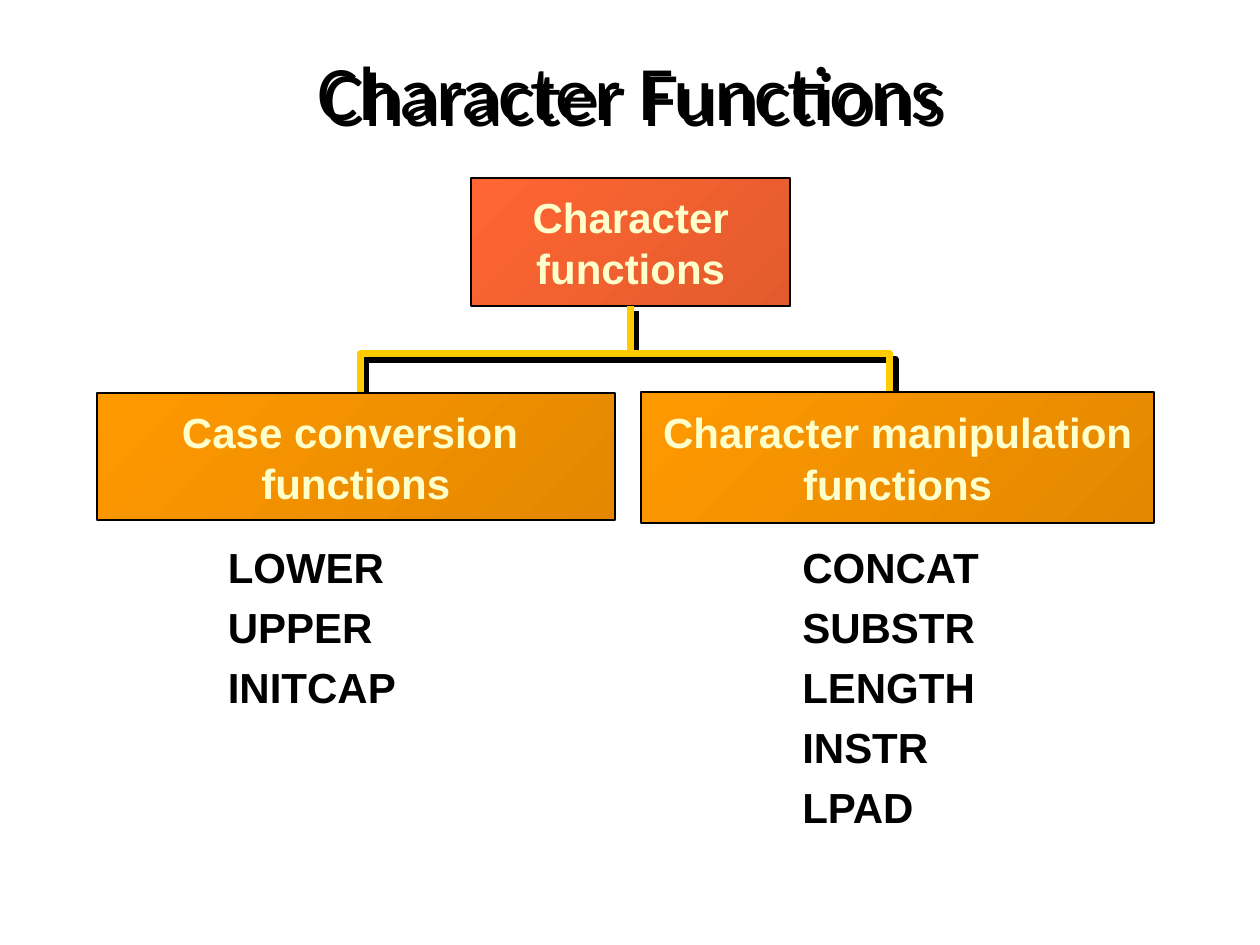
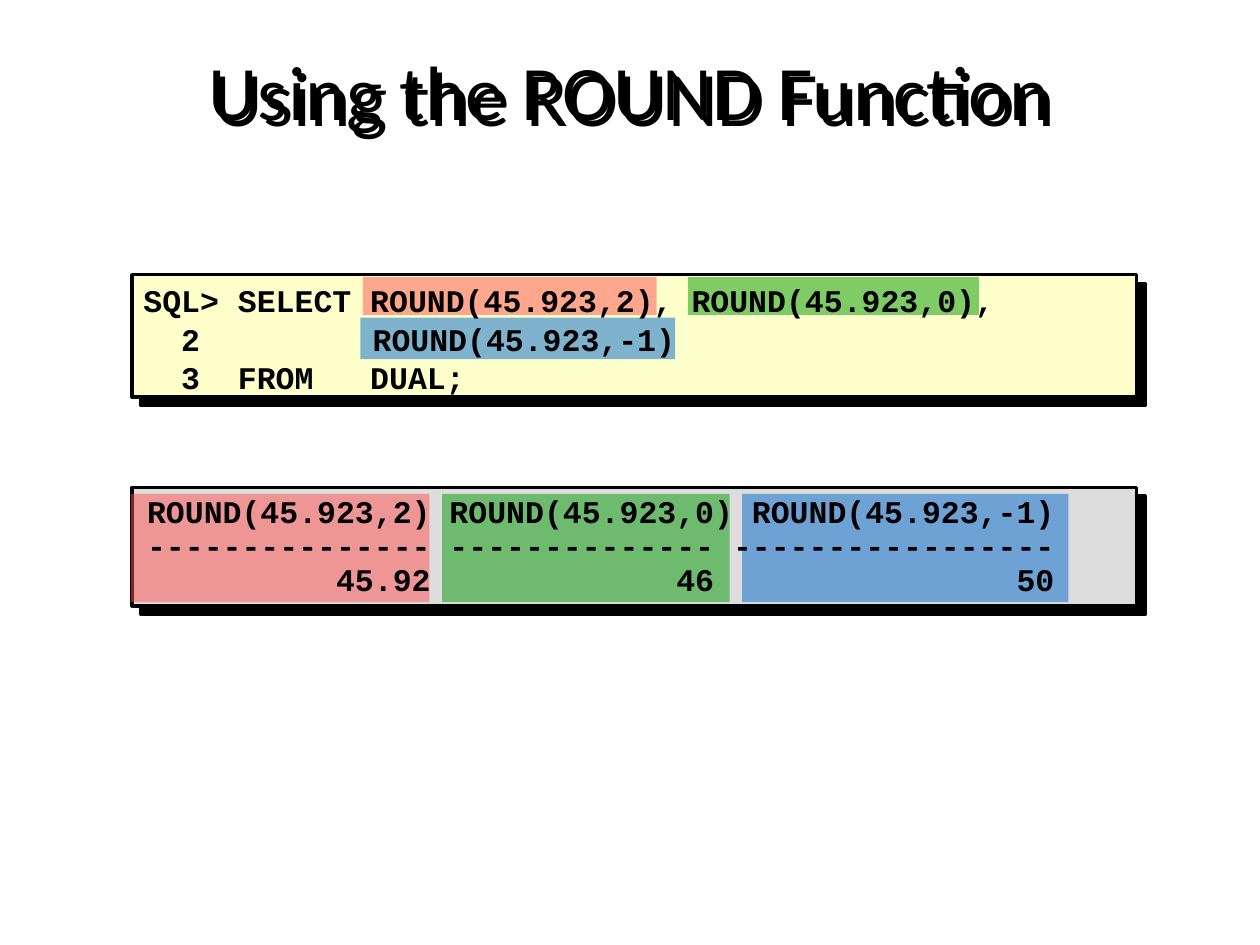
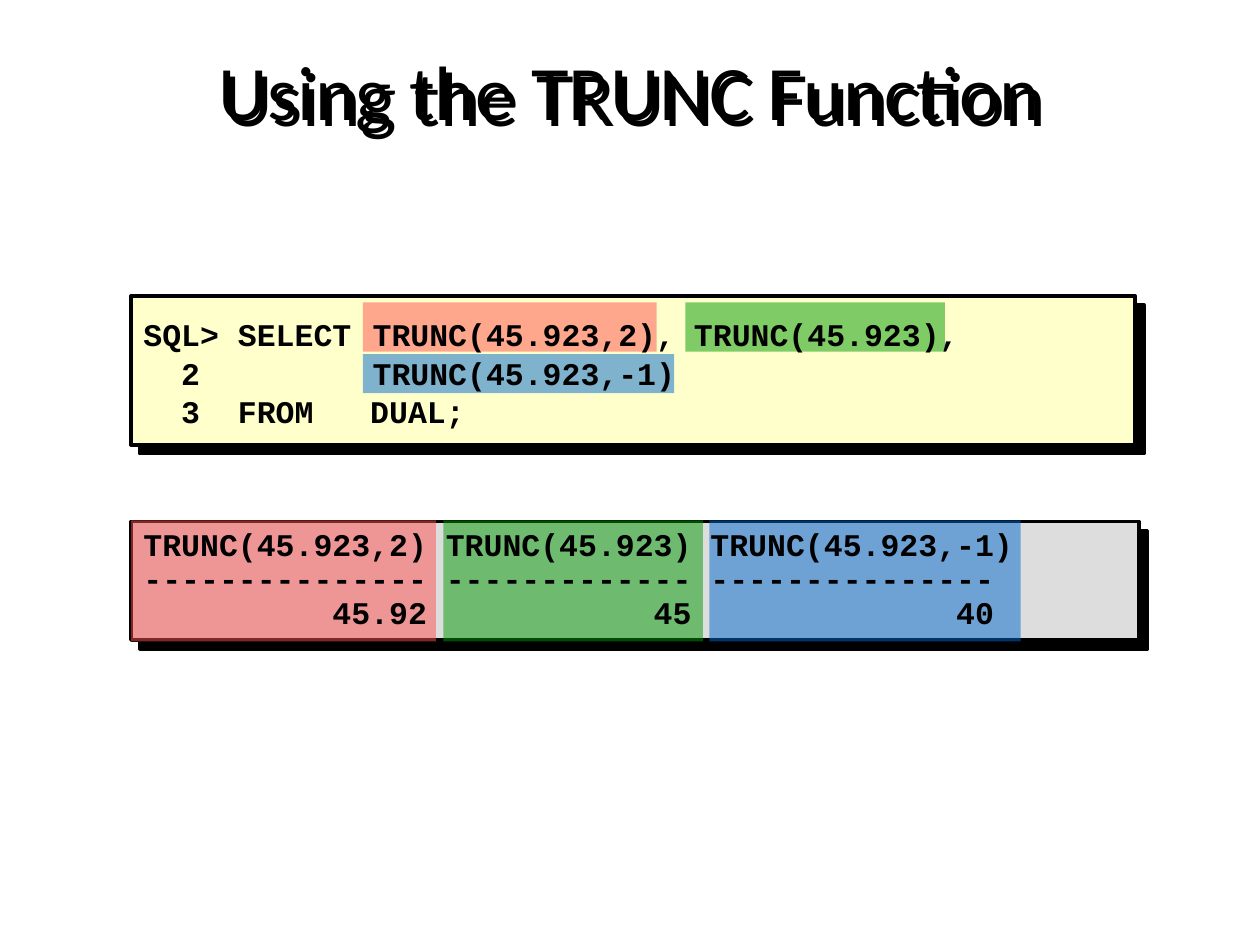
from collections import namedtuple

from lxml.etree import SubElement
from pptx import Presentation
from pptx.dml.color import RGBColor
from pptx.enum.shapes import MSO_CONNECTOR, MSO_SHAPE
from pptx.enum.text import MSO_ANCHOR, MSO_AUTO_SIZE, PP_ALIGN
from pptx.oxml.ns import qn
from pptx.util import Pt

BLACK = RGBColor(0x00, 0x00, 0x00)
CREAM = RGBColor(0xFF, 0xFF, 0xCC)
SILVER = RGBColor(0xDD, 0xDD, 0xDD)
YELLOW = RGBColor(0xFF, 0xCC, 0x00)
ORANGE = RGBColor(0xFF, 0x99, 0x00)
DARK_ORANGE = RGBColor(0xE3, 0x88, 0x00)
CORAL = RGBColor(0xFF, 0x66, 0x33)
DARK_CORAL = RGBColor(0xE3, 0x5B, 0x2D)
RED = RGBColor(0xFF, 0x50, 0x50)
GREEN = RGBColor(0x00, 0x99, 0x00)
BLUE = RGBColor(0x00, 0x66, 0xCC)

Box = namedtuple("Box", "left top width height")
Style = namedtuple("Style", "font size bold color line_pitch", defaults=(None,))

TITLE_STYLE = Style("Calibri", 44, False, BLACK)
NODE_STYLE = Style("Arial", 24, True, CREAM, 29.3)
LIST_STYLE = Style("Arial", 24, True, BLACK, 26)
QUERY_STYLE = Style("Courier New", 18, True, BLACK, 22)
RESULT_STYLE = Style("Courier New", 18, True, BLACK, 19.4)

TITLE_BOX = Box(36, 21.6, 648, 90)
QUERY_TABS = (94.3, 131)
LINE_SHADOW = 4.2
PANEL_SHADOW = 7.1


def to_points(box):
    return [Pt(value) for value in box]


def inside(box, left, top, width, height):
    return Box(box.left + left, box.top + top, width, height)


def add_shadow(shape, distance):
    properties = shape.element.spPr
    effects = properties.find(qn("a:effectLst"))
    if effects is None:
        effects = SubElement(properties, qn("a:effectLst"))
    shadow = SubElement(effects, qn("a:outerShdw"), dist=str(Pt(distance)),
                        dir="2700000", algn="ctr", rotWithShape="0")
    SubElement(shadow, qn("a:srgbClr"), val=str(BLACK))


def write_lines(frame, lines, style, alignment=PP_ALIGN.LEFT, gap=0, tabs=()):
    for index, line in enumerate(lines):
        paragraph = frame.paragraphs[0] if index == 0 else frame.add_paragraph()
        if tabs:
            tab_list = SubElement(paragraph._p.get_or_add_pPr(), qn("a:tabLst"))
            for position in tabs:
                SubElement(tab_list, qn("a:tab"), pos=str(Pt(position)), algn="l")
        paragraph.alignment = alignment
        if style.line_pitch:
            paragraph.line_spacing = Pt(style.line_pitch)
        if index and gap:
            paragraph.space_before = Pt(gap)
        run = paragraph.add_run()
        run.text = line
        run.font.name = style.font
        run.font.size = Pt(style.size)
        run.font.bold = style.bold
        run.font.color.rgb = style.color


def add_text(slide, box, lines, style, wrap=False, anchor=MSO_ANCHOR.TOP, **layout):
    shape = slide.shapes.add_textbox(*to_points(box))
    frame = shape.text_frame
    frame.word_wrap = wrap
    frame.auto_size = MSO_AUTO_SIZE.NONE
    frame.vertical_anchor = anchor
    write_lines(frame, lines, style, **layout)
    return shape


def add_title(slide, title):
    shape = add_text(slide, TITLE_BOX, [title], TITLE_STYLE, wrap=True,
                     alignment=PP_ALIGN.CENTER)
    add_shadow(shape, LINE_SHADOW)


def add_node(slide, box, lines, start_color, end_color):
    shape = slide.shapes.add_shape(MSO_SHAPE.RECTANGLE, *to_points(box))
    shape.shadow.inherit = False
    shape.fill.gradient()
    shape.fill.gradient_angle = 315
    for stop, color in zip(shape.fill.gradient_stops, (start_color, end_color)):
        stop.color.rgb = color
    shape.line.color.rgb = BLACK
    shape.line.width = Pt(1)
    shape.text_frame.word_wrap = False
    shape.text_frame.vertical_anchor = MSO_ANCHOR.MIDDLE
    write_lines(shape.text_frame, lines, NODE_STYLE, PP_ALIGN.CENTER)
    return shape


def style_branch(shape):
    shape.line.color.rgb = YELLOW
    shape.line.width = Pt(4)
    add_shadow(shape, LINE_SHADOW)


def add_branches(slide, root, left_x, right_x, bus_y, bottom_y):
    middle = root.left + root.width // 2
    stem = slide.shapes.add_connector(MSO_CONNECTOR.STRAIGHT, middle,
                                      root.top + root.height, middle, Pt(bus_y))
    stem.begin_connect(root, 2)
    style_branch(stem)
    builder = slide.shapes.build_freeform(Pt(left_x), Pt(bottom_y))
    corners = [(left_x, bus_y), (right_x, bus_y), (right_x, bottom_y)]
    builder.add_line_segments([(Pt(x), Pt(y)) for x, y in corners], close=False)
    bracket = builder.convert_to_shape()
    bracket.shadow.inherit = False
    bracket.fill.background()
    style_branch(bracket)


def add_panel(slide, box, color):
    shape = slide.shapes.add_shape(MSO_SHAPE.RECTANGLE, *to_points(box))
    shape.shadow.inherit = False
    shape.fill.solid()
    shape.fill.fore_color.rgb = color
    shape.line.color.rgb = BLACK
    shape.line.width = Pt(2)
    add_shadow(shape, PANEL_SHADOW)


def add_highlight_pair(slide, boxes, color):
    group = slide.shapes.add_group_shape()
    for box in boxes:
        shape = group.shapes.add_shape(MSO_SHAPE.RECTANGLE, *to_points(box))
        shape.shadow.inherit = False
        shape.fill.solid()
        shape.fill.fore_color.rgb = color
        color_element = shape.element.spPr.find(qn("a:solidFill"))[0]
        SubElement(color_element, qn("a:alpha"), val="50000")
        shape.line.fill.background()


def build_tree_slide(slide):
    add_title(slide, "Character Functions")
    root = add_node(slide, Box(269.3, 101.5, 182.2, 73.4),
                    ["Character", "functions"], CORAL, DARK_CORAL)
    add_branches(slide, root, 205.9, 508.5, 202.3, 243)
    branches = [
        (Box(55.4, 224.6, 295.9, 72.7), ["Case conversion ", "functions"],
         Box(123.1, 308.9, 110, 105), ["LOWER", "UPPER", "INITCAP"]),
        (Box(366.5, 223.9, 293, 74.9), ["Character manipulation", "functions"],
         Box(451.4, 308.9, 117, 177),
         ["CONCAT", "SUBSTR", "LENGTH", "INSTR", "LPAD"]),
    ]
    for node_box, heading, list_box, names in branches:
        add_node(slide, node_box, heading, ORANGE, DARK_ORANGE)
        add_text(slide, list_box, names, LIST_STYLE, gap=8.3)


def build_query_slide(slide, title, query, query_marks, query_text, query_lines,
                      result, result_marks, result_text, result_lines):
    add_panel(slide, result, SILVER)
    add_panel(slide, query, CREAM)
    add_title(slide, title)
    for result_mark, query_mark, color in zip(result_marks, query_marks,
                                              (RED, GREEN, BLUE)):
        boxes = [inside(result, *result_mark), inside(query, *query_mark)]
        add_highlight_pair(slide, boxes, color)
    add_text(slide, inside(query, *query_text), query_lines, QUERY_STYLE,
             anchor=MSO_ANCHOR.MIDDLE, tabs=QUERY_TABS)
    add_text(slide, inside(result, *result_text), result_lines, RESULT_STYLE,
             wrap=True, tabs=QUERY_TABS[:1])


def build_round_slide(slide):
    build_query_slide(
        slide, "Using the ROUND Function",
        query=Box(75.6, 157, 573.8, 69.8),
        query_marks=[(131.8, 1.4, 167.8, 21.6), (317.5, 1.4, 166.3, 21.6),
                     (130.3, 24.5, 180, 23.8)],
        query_text=(-0.7, -26, 576, 124.6),
        query_lines=["SQL> SELECT ROUND(45.923,2), ROUND(45.923,0),",
                     "  2  \t\tROUND(45.923,-1)",
                     "  3  FROM   DUAL;"],
        result=Box(75.6, 278.6, 573.8, 67.7),
        result_marks=[(-0.7, 3.6, 170.6, 61.9), (177.1, 3.6, 164.2, 61.9),
                      (348.5, 3.6, 186.5, 61.9)],
        result_text=(1.4, 1.5, 571.7, 65.5),
        result_lines=["ROUND(45.923,2) ROUND(45.923,0) ROUND(45.923,-1)",
                      "--------------- -------------- -----------------",
                      "          45.92             46                50"])


def build_trunc_slide(slide):
    build_query_slide(
        slide, "Using the TRUNC Function",
        query=Box(74.9, 169.2, 573.8, 85),
        query_marks=[(132.5, 3.6, 167.8, 28.1), (316.8, 3.6, 148.3, 28.1),
                     (132.5, 33.1, 177.8, 22.3)],
        query_text=(0, -18.7, 576, 124.6),
        query_lines=["SQL> SELECT \tTRUNC(45.923,2), TRUNC(45.923),",
                     "  2  \t\tTRUNC(45.923,-1)",
                     "  3  FROM   DUAL;"],
        result=Box(74.9, 298.1, 576, 67.7),
        result_marks=[(0, -0.7, 174.2, 69.1), (178.5, -0.7, 148.3, 69.1),
                      (330.5, -0.7, 177.8, 69.1)],
        result_text=(0, 0.7, 573.8, 65.5),
        result_lines=["TRUNC(45.923,2) TRUNC(45.923) TRUNC(45.923,-1)",
                      "--------------- ------------- ---------------",
                      "          45.92            45              40"])


def main():
    presentation = Presentation()
    presentation.slide_width = Pt(720)
    presentation.slide_height = Pt(540)
    blank_layout = presentation.slide_layouts[6]
    for build_slide in (build_tree_slide, build_round_slide, build_trunc_slide):
        build_slide(presentation.slides.add_slide(blank_layout))
    presentation.save("out.pptx")


if __name__ == "__main__":
    main()
